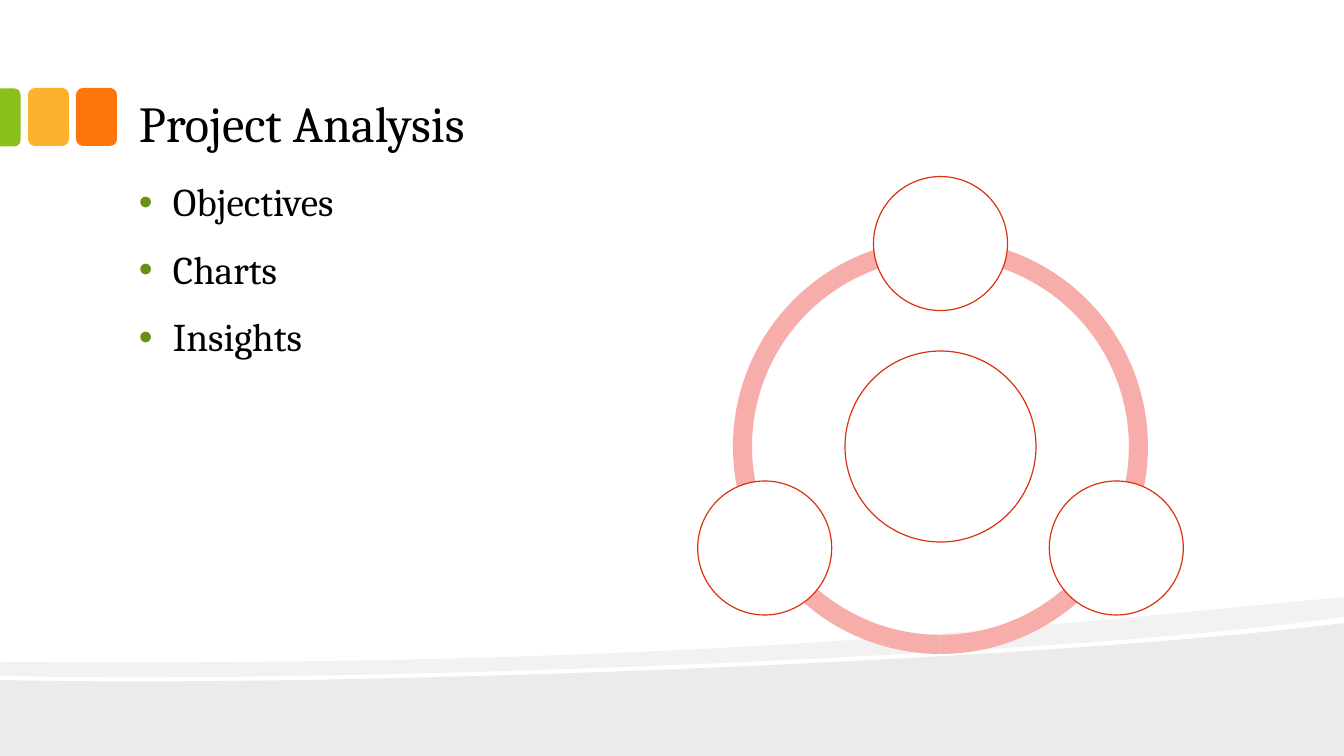
from math import cos, radians, sin

from lxml import etree
from pptx import Presentation
from pptx.dml.color import RGBColor
from pptx.enum.shapes import MSO_SHAPE
from pptx.enum.text import MSO_ANCHOR
from pptx.oxml.ns import qn
from pptx.util import Emu, Pt

ROUNDED = MSO_SHAPE.ROUNDED_RECTANGLE
HALF_ROUNDED = MSO_SHAPE.ROUND_2_SAME_RECTANGLE
BLOCK_ARC = MSO_SHAPE.BLOCK_ARC
OVAL = MSO_SHAPE.OVAL
TOP, BOTTOM = MSO_ANCHOR.TOP, MSO_ANCHOR.BOTTOM

SCALE = 914400 / 100.8
BLACK, WHITE = "000000", "FFFFFF"
GREEN, YELLOW, ORANGE = "89C01C", "FCB22C", "FE750E"
BULLET_GREEN, RING_PINK, RIM_RED = "679015", "F7AEAB", "DC310F"


def px(length):
    return Emu(round(length * SCALE))


def color(hex_value):
    return RGBColor.from_string(hex_value)


class SlideBuilder:
    """Draws styled elements on one slide, with lengths in px."""

    font = "Cambria"

    def __init__(self, slide):
        self.slide = slide

    def paint(self, shape, fill, line=None, opacity=None):
        shape.shadow.inherit = False
        shape.fill.solid()
        shape.fill.fore_color.rgb = color(fill)
        if opacity:
            fill_color = shape.element.spPr.find(qn("a:solidFill"))[0]
            etree.SubElement(fill_color, qn("a:alpha"), val=str(opacity * 1000))
        if line:
            shape.line.color.rgb = color(line)
            shape.line.width = Pt(0.85)
        else:
            shape.line.fill.background()

    def shape(self, kind, left, top, width, height, fill, line=None,
              adjustments=(), rotation=0):
        shape = self.slide.shapes.add_shape(
            kind, px(left), px(top), px(width), px(height))
        for index, value in enumerate(adjustments):
            shape.adjustments[index] = value
        shape.rotation = rotation
        self.paint(shape, fill, line)

    def circle(self, center_x, center_y, diameter):
        radius = diameter / 2
        self.shape(OVAL, center_x - radius, center_y - radius,
                   diameter, diameter, WHITE, RIM_RED)

    def wave(self, start, segments, opacity):
        builder = self.slide.shapes.build_freeform(*start, scale=SCALE)
        builder.add_line_segments(
            [point for segment in segments for point in segment], close=True)
        shape = builder.convert_to_shape()
        lines = iter(list(shape.element.iter(qn("a:lnTo"))))
        for segment in segments:
            first, *others = [next(lines) for _ in segment]
            if others:
                first.tag = qn("a:cubicBezTo")
                for line in others:
                    first.append(line[0])
                    line.getparent().remove(line)
        self.paint(shape, BLACK, opacity=opacity)

    def text(self, left, top, width, height, lines, size, anchor=TOP, bullets=False):
        box = self.slide.shapes.add_textbox(px(left), px(top), px(width), px(height))
        frame = box.text_frame
        frame.word_wrap = True
        frame.vertical_anchor = anchor
        frame.margin_left = frame.margin_right = px(13)
        frame.margin_top = frame.margin_bottom = px(7)
        for index, line in enumerate(lines):
            paragraph = frame.add_paragraph() if index else frame.paragraphs[0]
            if bullets:
                self.bullet(paragraph)
            run = paragraph.add_run()
            run.text = line
            run.font.name = self.font
            run.font.size = Pt(size)
            run.font.color.rgb = color(BLACK)

    def bullet(self, paragraph):
        paragraph.line_spacing = 0.9
        paragraph.space_before = Pt(18)
        properties = paragraph._p.get_or_add_pPr()
        properties.set("marL", str(px(34)))
        properties.set("indent", str(px(-34)))
        bullet_color = etree.SubElement(properties, qn("a:buClr"))
        etree.SubElement(bullet_color, qn("a:srgbClr"), val=BULLET_GREEN)
        etree.SubElement(properties, qn("a:buFont"), typeface="Arial")
        etree.SubElement(properties, qn("a:buChar"), char="•")


def main():
    presentation = Presentation()
    presentation.slide_width, presentation.slide_height = px(1344), px(756)
    slide = presentation.slides.add_slide(presentation.slide_layouts[6])
    builder = SlideBuilder(slide)

    builder.wave((1344, 623), [
        [(1344, 756)],
        [(0, 756)],
        [(0, 680)],
        [(355, 688), (1050, 660), (1344, 623)],
    ], 8)
    builder.wave((1344, 597), [
        [(1344, 617)],
        [(1265, 628), (1158, 638), (1037, 646)],
        [(704, 668), (260, 682), (0, 676)],
        [(0, 662)],
        [(657, 667), (979, 632), (1344, 597)],
    ], 5)

    for left, fill in ((76, ORANGE), (28, YELLOW)):
        builder.shape(ROUNDED, left, 88, 41, 58, fill)
    builder.shape(HALF_ROUNDED, -19, 107, 58, 21, GREEN,
                  adjustments=(0.29, 0), rotation=90)

    builder.text(126, 17, 1075, 143, ["Project Analysis"], 36, BOTTOM)
    builder.text(126, 176, 537, 504, ["Objectives", "Charts", "Insights"], 28,
                 bullets=True)

    left, top, ring, orbit = 733, 239, 415, 203
    for start, end in ((90, 162), (18, 90), (162, 18)):
        builder.shape(BLOCK_ARC, left, top, ring, ring, RING_PINK,
                      adjustments=(start * 0.6, end * 0.6, 0.046))
    center_x, center_y = left + ring / 2, top + ring / 2
    builder.circle(center_x, center_y, 191)
    for angle in (-90, 30, 150):
        builder.circle(center_x + orbit * cos(radians(angle)),
                       center_y + orbit * sin(radians(angle)), 134)

    presentation.save("out.pptx")


if __name__ == "__main__":
    main()
